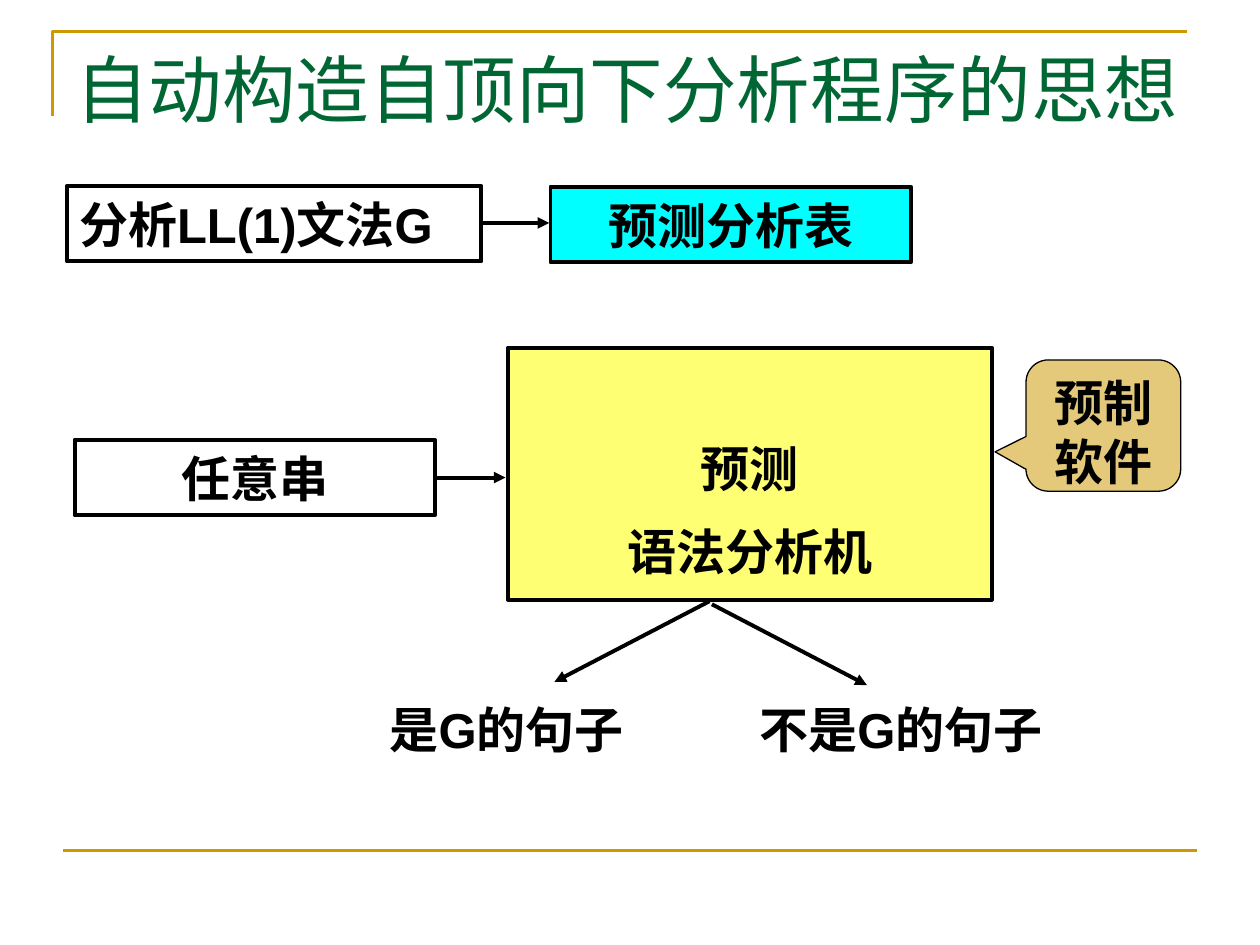
from dataclasses import dataclass
from typing import Optional

from lxml.etree import SubElement
from pptx import Presentation
from pptx.dml.color import RGBColor
from pptx.enum.shapes import MSO_CONNECTOR, MSO_SHAPE
from pptx.enum.text import MSO_ANCHOR, PP_ALIGN
from pptx.oxml.ns import qn
from pptx.util import Pt

BLACK, GOLD, GREEN = "000000", "CC9900", "006633"


@dataclass
class Box:
    lines: list[str]
    left: float
    top: float
    width: float
    height: float
    fill: Optional[str] = None
    opacity: int = 100
    line_width: float = 2.25
    preset: MSO_SHAPE = MSO_SHAPE.RECTANGLE
    adjustments: tuple[float, ...] = ()
    anchor: MSO_ANCHOR = MSO_ANCHOR.MIDDLE
    align: PP_ALIGN = PP_ALIGN.CENTER
    bottom_margin: float = 3.6
    wrap: bool = True


@dataclass
class Label:
    text: str
    left: float
    top: float
    width: float
    height: float
    size: float = 28
    font: str = "Arial"
    color: str = BLACK
    bold: bool = True
    align: PP_ALIGN = PP_ALIGN.CENTER


@dataclass
class Line:
    start: tuple[float, float]
    end: tuple[float, float]
    color: str = BLACK
    width: float = 2.25
    arrow: bool = True


def rgb(color: str) -> RGBColor:
    return RGBColor.from_string(color)


def write_lines(frame, lines: list[str], align: PP_ALIGN, size: float = 28,
                font: str = "Arial", color: str = BLACK, bold: bool = True) -> None:
    for index, text in enumerate(lines):
        paragraph = frame.paragraphs[0] if index == 0 else frame.add_paragraph()
        paragraph.alignment = align
        if index:
            paragraph.space_before = Pt(size / 2)
        run = paragraph.add_run()
        run.text = text
        run.font.size = Pt(size)
        run.font.name = font
        run.font.bold = bold
        run.font.color.rgb = rgb(color)


def draw_box(slide, box: Box) -> None:
    shape = slide.shapes.add_shape(box.preset, Pt(box.left), Pt(box.top),
                                   Pt(box.width), Pt(box.height))
    shape.shadow.inherit = False
    for index, value in enumerate(box.adjustments):
        shape.adjustments[index] = value
    if box.fill:
        shape.fill.solid()
        shape.fill.fore_color.rgb = rgb(box.fill)
        if box.opacity < 100:
            color = shape._element.spPr.find(qn("a:solidFill"))[0]
            SubElement(color, qn("a:alpha")).set("val", str(box.opacity * 1000))
    else:
        shape.fill.background()
    shape.line.color.rgb = rgb(BLACK)
    shape.line.width = Pt(box.line_width)
    frame = shape.text_frame
    frame.word_wrap = box.wrap
    frame.vertical_anchor = box.anchor
    frame.margin_bottom = Pt(box.bottom_margin)
    write_lines(frame, box.lines, box.align)


def draw_label(slide, label: Label) -> None:
    shape = slide.shapes.add_textbox(Pt(label.left), Pt(label.top),
                                     Pt(label.width), Pt(label.height))
    shape.text_frame.word_wrap = True
    write_lines(shape.text_frame, [label.text], label.align, label.size,
                label.font, label.color, label.bold)


def draw_line(slide, line: Line) -> None:
    connector = slide.shapes.add_connector(
        MSO_CONNECTOR.STRAIGHT, *(Pt(value) for value in line.start + line.end))
    connector.line.color.rgb = rgb(line.color)
    connector.line.width = Pt(line.width)
    if line.arrow:
        SubElement(connector.line._get_or_add_ln(), qn("a:tailEnd")).set("type", "triangle")
    SubElement(connector._element.spPr, qn("a:effectLst"))


def draw_corner(slide) -> None:
    builder = slide.shapes.build_freeform(Pt(30.2), Pt(66.2))
    builder.add_line_segments([(Pt(30.2), Pt(18)), (Pt(678.2), Pt(18))], close=False)
    corner = builder.convert_to_shape()
    corner.shadow.inherit = False
    corner.fill.background()
    corner.line.color.rgb = rgb(GOLD)
    corner.line.width = Pt(1.5)


BOXES = [
    # Parser with its verdict arrows below
    Box(["预测", "语法分析机"], 290.2, 198.7, 276.5, 144, "FFFF00", 55,
        anchor=MSO_ANCHOR.BOTTOM, bottom_margin=11),
    # Grammar, input string and parsing table
    Box(["分析LL(1)文法G"], 38.2, 106.2, 236.9, 43.2, align=PP_ALIGN.LEFT, wrap=False),
    Box(["任意串"], 42.7, 251.3, 205.9, 43.2),
    Box(["预测分析表"], 314.6, 106.7, 205.9, 43.2, "00FFFF"),
    # Callout on the parser
    Box(["预制软件"], 586.3, 205.7, 88.4, 75, GOLD, 52, 0.75,
        MSO_SHAPE.ROUNDED_RECTANGULAR_CALLOUT, (-0.7, 0.2, 0.17), MSO_ANCHOR.TOP),
]
LABELS = [
    Label("自动构造自顶向下分析程序的思想", 36, 21.6, 648, 90, 42,
          "Times New Roman", GREEN, False, PP_ALIGN.LEFT),
    Label("是G的句子", 204.5, 396, 169.9, 41),
    Label("不是G的句子", 421.2, 396, 187.2, 41),
]
LINES = [
    Line((36, 486), (684, 486), GOLD, 1.5, arrow=False),
    Line((274.6, 127.4), (313.9, 127.4)),
    Line((249.8, 272.9), (288.9, 272.9)),
    Line((405.4, 343.6), (316.8, 389.7)),
    Line((406.8, 345.3), (495.4, 391.5)),
]


def main() -> None:
    presentation = Presentation()
    presentation.slide_width, presentation.slide_height = Pt(720), Pt(540)
    slide = presentation.slides.add_slide(presentation.slide_layouts[6])
    draw_corner(slide)
    for box in BOXES:
        draw_box(slide, box)
    for line in LINES:
        draw_line(slide, line)
    for label in LABELS:
        draw_label(slide, label)
    presentation.save("out.pptx")


if __name__ == "__main__":
    main()
